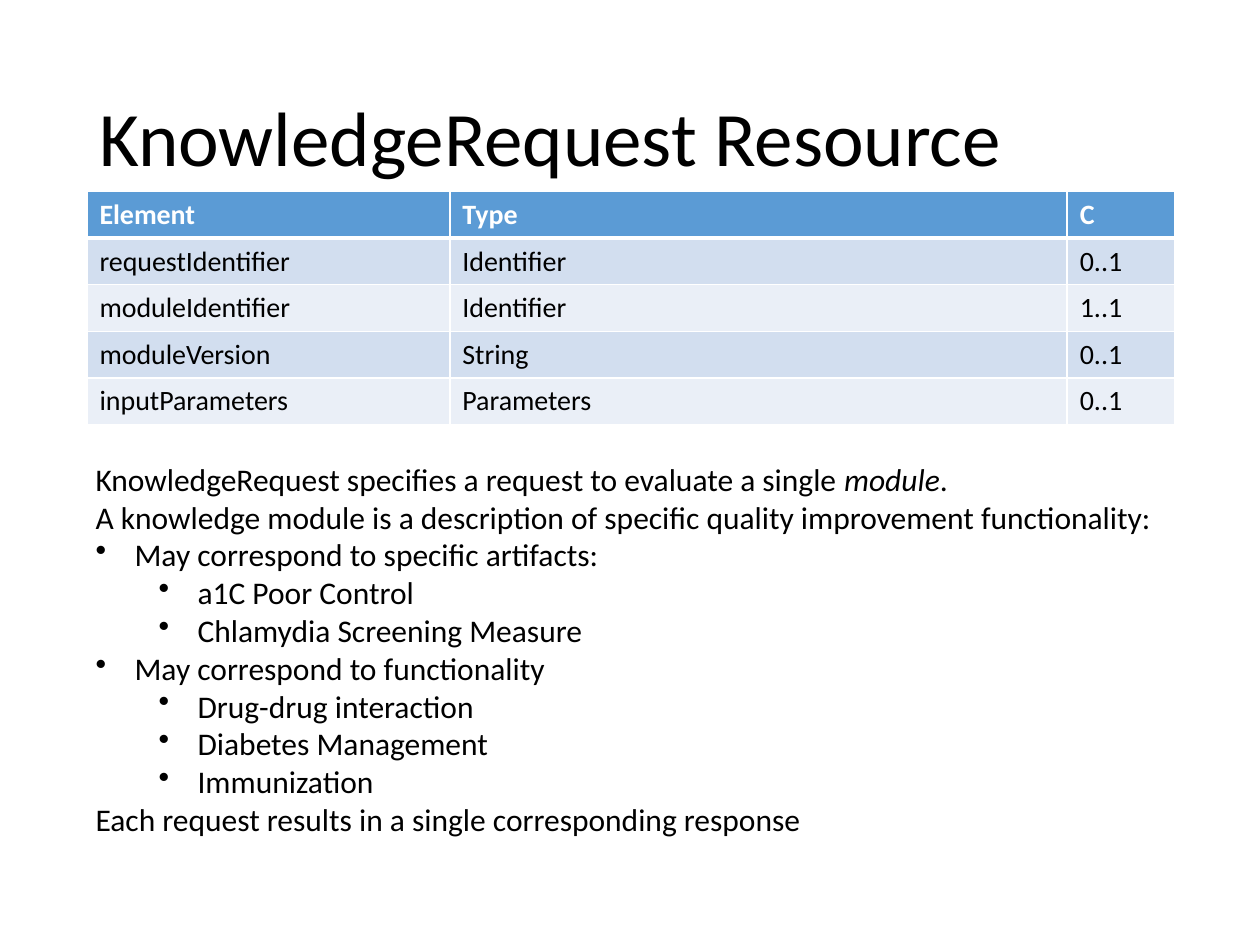
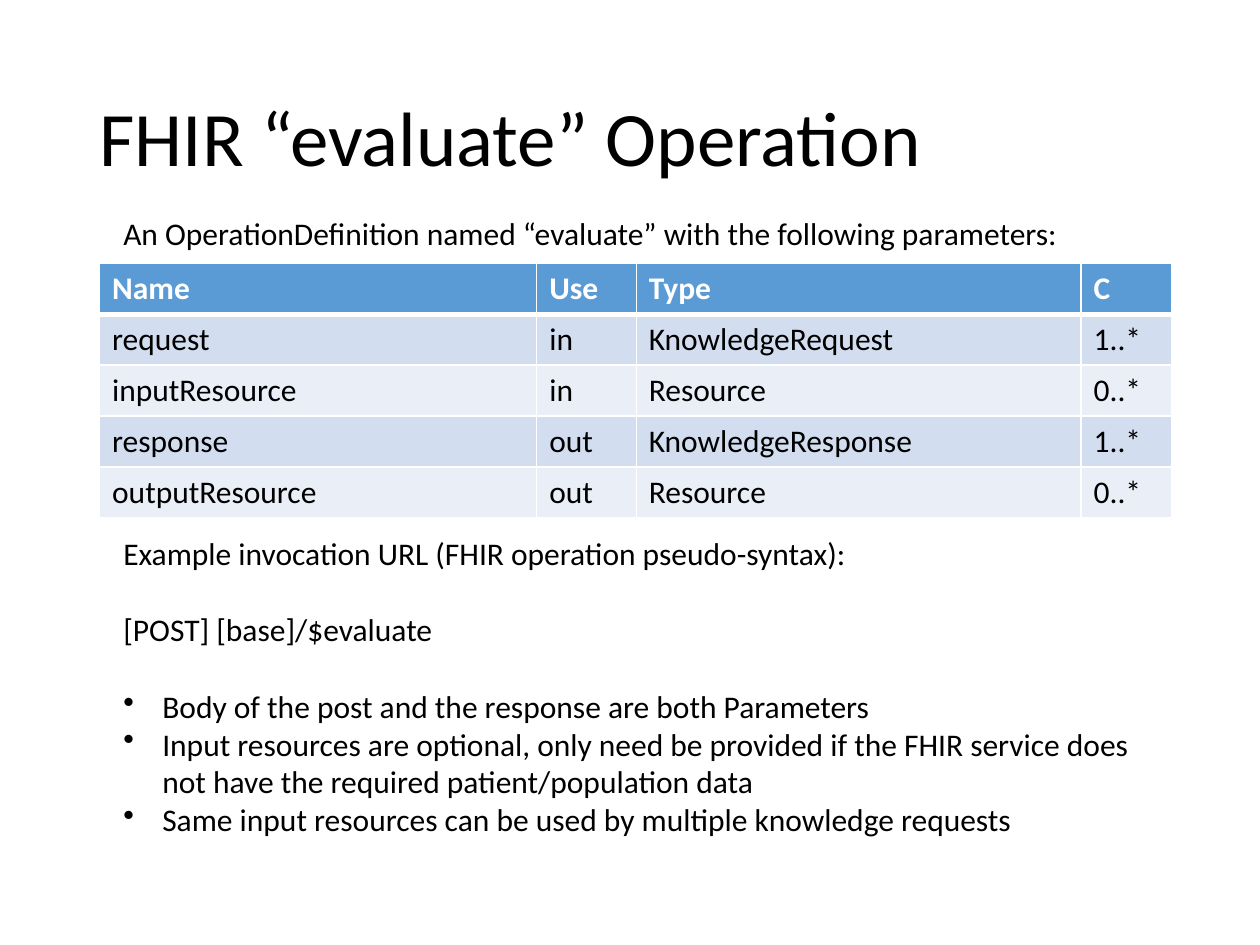
from dataclasses import dataclass

from lxml import etree
from pptx import Presentation
from pptx.dml.color import RGBColor
from pptx.enum.text import MSO_ANCHOR
from pptx.oxml.ns import qn
from pptx.util import Inches, Pt

MIDDLE = MSO_ANCHOR.MIDDLE
TOP = MSO_ANCHOR.TOP


@dataclass(frozen=True)
class Theme:
    font: str = "Calibri"
    ink: str = "000000"
    paper: str = "FFFFFF"
    head: str = "5B9BD5"
    bands: tuple = ("D2DEEF", "EAEFF7")
    title: int = 44
    body: int = 18
    small: int = 16
    blank: int = 22  # space of one empty body line
    hang: float = 0.31  # bullet indent
    step: float = 0.5  # extra indent for each level
    rule: int = 1
    thick: int = 3


THEME = Theme()
TITLE_BOX = (0.69, 0.4, 8.62, 1.45)


def style(para, size, color=THEME.ink, bold=False):
    font = para.font
    font.name, font.size, font.bold = THEME.font, Pt(size), bold
    font.color.rgb = RGBColor.from_string(color)


def add_bullet(para, level):
    """Give a paragraph a hanging bullet at a level counted from 1."""
    para.level = level - 1
    props = para._p.get_or_add_pPr()
    left = THEME.hang + THEME.step * (level - 1)
    props.set("marL", str(Inches(left)))
    props.set("indent", str(-Inches(THEME.hang)))
    mark = etree.Element(qn("a:buChar"), char="•")
    props.insert_element_before(mark, "a:tabLst", "a:defRPr", "a:extLst")


def add_text(slide, box, lines, size=THEME.body, anchor=TOP):
    """Lines are (level, text, gap before); *stars* set italics."""
    frame = slide.shapes.add_textbox(*map(Inches, box)).text_frame
    frame.word_wrap = True
    frame.vertical_anchor = anchor
    for i, (level, text, gap) in enumerate(lines):
        para = frame.add_paragraph() if i else frame.paragraphs[0]
        style(para, size)
        if gap:
            para.space_before = Pt(gap)
        if level:
            add_bullet(para, level)
        for j, part in enumerate(text.split("*")):
            run = para.add_run()
            run.text = part
            if j % 2:
                run.font.italic = True
    return frame


def add_title(slide, text):
    frame = add_text(slide, TITLE_BOX, [(0, text, 0)], THEME.title, MIDDLE)
    frame.paragraphs[0].line_spacing = 0.9


def add_edges(cell, top, bottom):
    """Draw the four cell borders."""
    props = cell._tc.get_or_add_tcPr()
    widths = {"L": THEME.rule, "R": THEME.rule, "T": top, "B": bottom}
    for side, width in widths.items():
        line = etree.SubElement(props, qn(f"a:ln{side}"), w=str(Pt(width)))
        fill = etree.SubElement(line, qn("a:solidFill"))
        etree.SubElement(fill, qn("a:srgbClr"), val=THEME.paper)


def add_grid(slide, box, widths, rows, size):
    """Place a table with a header row and banded body rows."""
    shape = slide.shapes.add_table(len(rows), len(widths), *map(Inches, box))
    table = shape.table
    for col, width in zip(table.columns, widths):
        col.width = Inches(width)
    for r, row in enumerate(rows):
        table.rows[r].height = Inches(box[3] / len(rows))
        head = r == 0
        back = THEME.head if head else THEME.bands[(r - 1) % 2]
        top = THEME.thick if r == 1 else THEME.rule
        bottom = THEME.thick if head else THEME.rule
        for c, text in enumerate(row):
            cell = table.cell(r, c)
            add_edges(cell, top, bottom)
            cell.fill.solid()
            cell.fill.fore_color.rgb = RGBColor.from_string(back)
            cell.text = text
            color = THEME.paper if head else THEME.ink
            style(cell.text_frame.paragraphs[0], size, color, head)


def build_request(slide):
    add_title(slide, "KnowledgeRequest Resource")
    # Resource elements
    add_grid(slide, (0.69, 1.52, 8.62, 1.85), (2.88, 4.9, 0.85), [
        ("Element", "Type", "C"),
        ("requestIdentifier", "Identifier", "0..1"),
        ("moduleIdentifier", "Identifier", "1..1"),
        ("moduleVersion", "String", "0..1"),
        ("inputParameters", "Parameters", "0..1"),
    ], THEME.small)
    # Explanation
    add_text(slide, (0.66, 3.6, 8.69, 3.13), [
        (0, "KnowledgeRequest specifies a request to evaluate a single *module*.", 0),
        (0, "A knowledge module is a description of specific quality "
            "improvement functionality:", 0),
        (1, "May correspond to specific artifacts:", 0),
        (2, "a1C Poor Control", 0),
        (2, "Chlamydia Screening Measure", 0),
        (1, "May correspond to functionality", 0),
        (2, "Drug-drug interaction", 0),
        (2, "Diabetes Management", 0),
        (2, "Immunization", 0),
        (0, "Each request results in a single corresponding response", 0),
    ])


def build_evaluate(slide):
    add_title(slide, "FHIR “evaluate” Operation")
    # Operation parameters
    add_grid(slide, (0.79, 2.09, 8.52, 2.02), (3.47, 0.79, 3.53, 0.72), [
        ("Name", "Use", "Type", "C"),
        ("request", "in", "KnowledgeRequest", "1..*"),
        ("inputResource", "in", "Resource", "0..*"),
        ("response", "out", "KnowledgeResponse", "1..*"),
        ("outputResource", "out", "Resource", "0..*"),
    ], THEME.body)
    # Lead-in above the table
    add_text(slide, (0.88, 1.65, 7.71, 0.4), [
        (0, "An OperationDefinition named “evaluate” with the following "
            "parameters:", 0),
    ])
    # Invocation example and notes
    add_text(slide, (0.88, 4.19, 8.51, 2.52), [
        (0, "Example invocation URL (FHIR operation pseudo-syntax):", 0),
        (0, "[POST] [base]/$evaluate", THEME.blank),
        (1, "Body of the post and the response are both Parameters", THEME.blank),
        (1, "Input resources are optional, only need be provided if the FHIR "
            "service does not have the required patient/population data", 0),
        (1, "Same input resources can be used by multiple knowledge requests", 0),
    ])


def main():
    deck = Presentation()
    deck.slide_width, deck.slide_height = Inches(10), Inches(7.5)
    blank = deck.slide_layouts[6]
    for build in (build_request, build_evaluate):
        build(deck.slides.add_slide(blank))
    deck.save("out.pptx")


if __name__ == "__main__":
    main()
